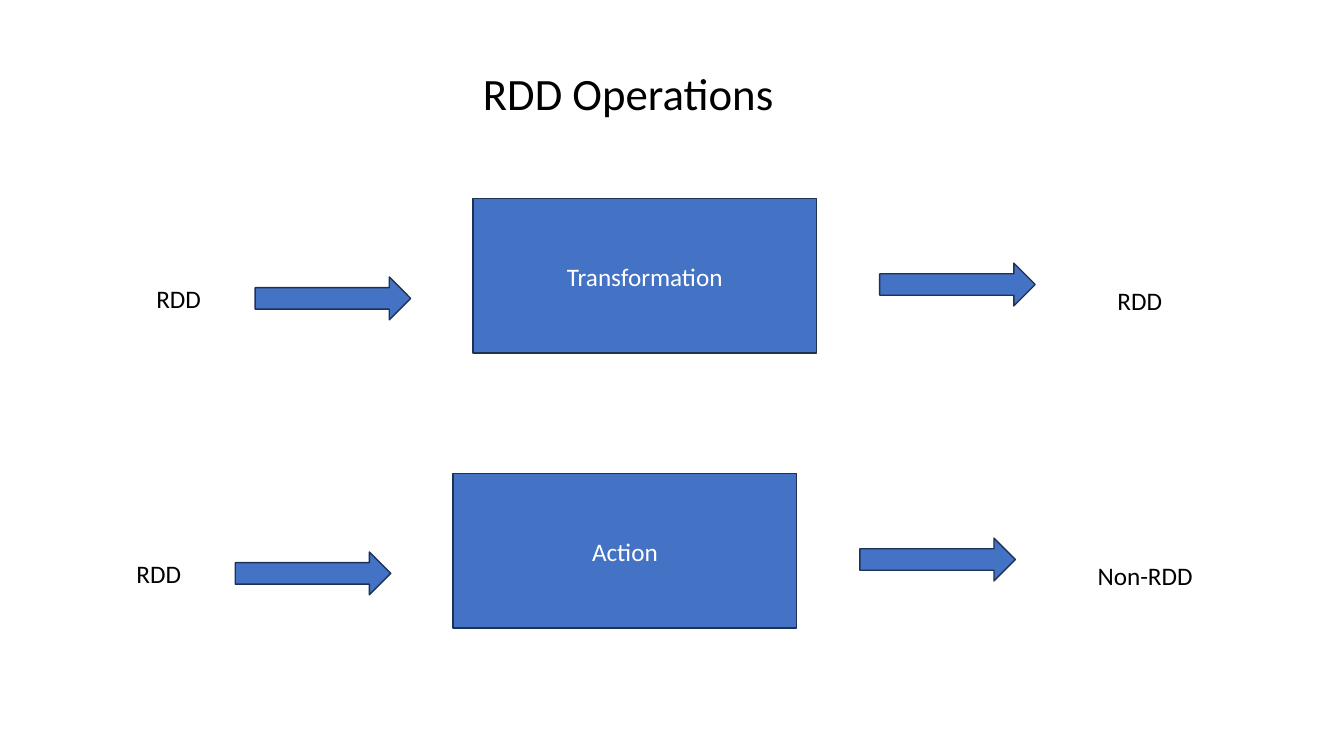
from pptx import Presentation
from pptx.dml.color import RGBColor
from pptx.enum.shapes import MSO_SHAPE as Shape
from pptx.enum.text import MSO_ANCHOR as Anchor, MSO_AUTO_SIZE as AutoSize, PP_ALIGN as Align
from pptx.util import Cm, Pt

COLORS = {"fill": "4472C4", "outline": "1E3256", "dark": "000000", "light": "FFFFFF"}
FONT = "Calibri"


def color(name):
    return RGBColor.from_string(COLORS[name])


def write(paragraph, text, size, color_name):
    paragraph.text = text
    paragraph.font.name = FONT
    paragraph.font.size = Pt(size)
    paragraph.font.color.rgb = color(color_name)


def add_label(slide, text, left, top, width, height, size=18):
    box = slide.shapes.add_textbox(Cm(left), Cm(top), Cm(width), Cm(height))
    frame = box.text_frame
    frame.word_wrap = False
    frame.auto_size = AutoSize.SHAPE_TO_FIT_TEXT
    write(frame.paragraphs[0], text, size, "dark")


def add_block(slide, kind, left, top, width, height):
    shape = slide.shapes.add_shape(kind, Cm(left), Cm(top), Cm(width), Cm(height))
    shape.shadow.inherit = False
    shape.fill.solid()
    shape.fill.fore_color.rgb = color("fill")
    shape.line.color.rgb = color("outline")
    shape.line.width = Pt(1)
    return shape


def add_operation(slide, left, top, name, result, result_width):
    """Place one row: input, arrow, operation, arrow, result."""
    # Operation box
    operation = add_block(slide, Shape.RECTANGLE, left + 8.23, top, 8.66, 3.89)
    operation.text_frame.vertical_anchor = Anchor.MIDDLE
    paragraph = operation.text_frame.paragraphs[0]
    paragraph.alignment = Align.CENTER
    write(paragraph, name, 18, "light")

    # Input and result
    add_label(slide, "RDD", left, top + 2, 1.65, 1.02)
    add_label(slide, result, left + 24.22, top + 2.05, result_width, 1.02)

    # Arrows
    for arrow_left, arrow_top in ((2.74, 1.97), (18.48, 1.62)):
        add_block(slide, Shape.RIGHT_ARROW, left + arrow_left, top + arrow_top, 3.92, 1.08)


def main():
    presentation = Presentation()
    presentation.slide_width, presentation.slide_height = Cm(33.87), Cm(19.05)
    slide = presentation.slides.add_slide(presentation.slide_layouts[6])

    # Title
    add_label(slide, "RDD Operations", 11.92, 1.52, 7.92, 1.63, size=32)

    # Operation rows
    add_operation(slide, 3.69, 5.01, "Transformation", "RDD", 1.65)
    add_operation(slide, 3.19, 11.94, "Action", "Non-RDD", 2.95)

    presentation.save("out.pptx")


if __name__ == "__main__":
    main()
